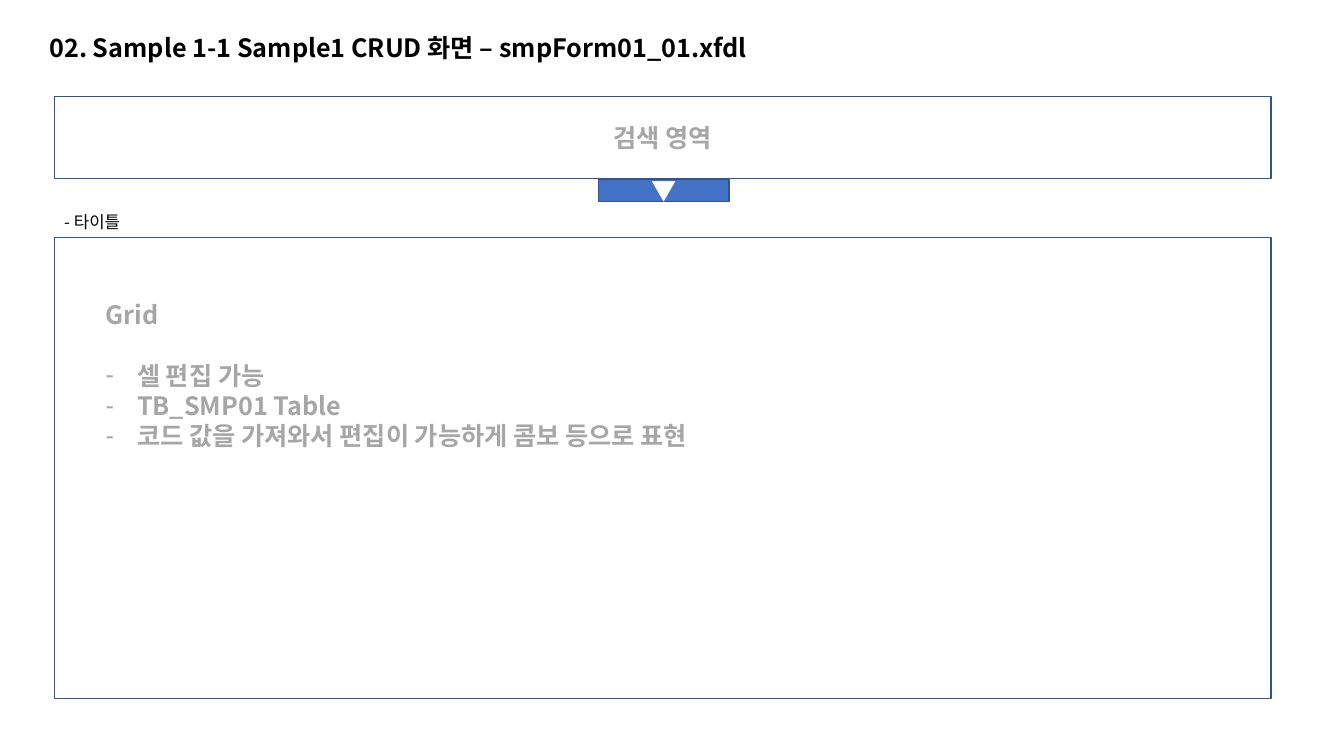
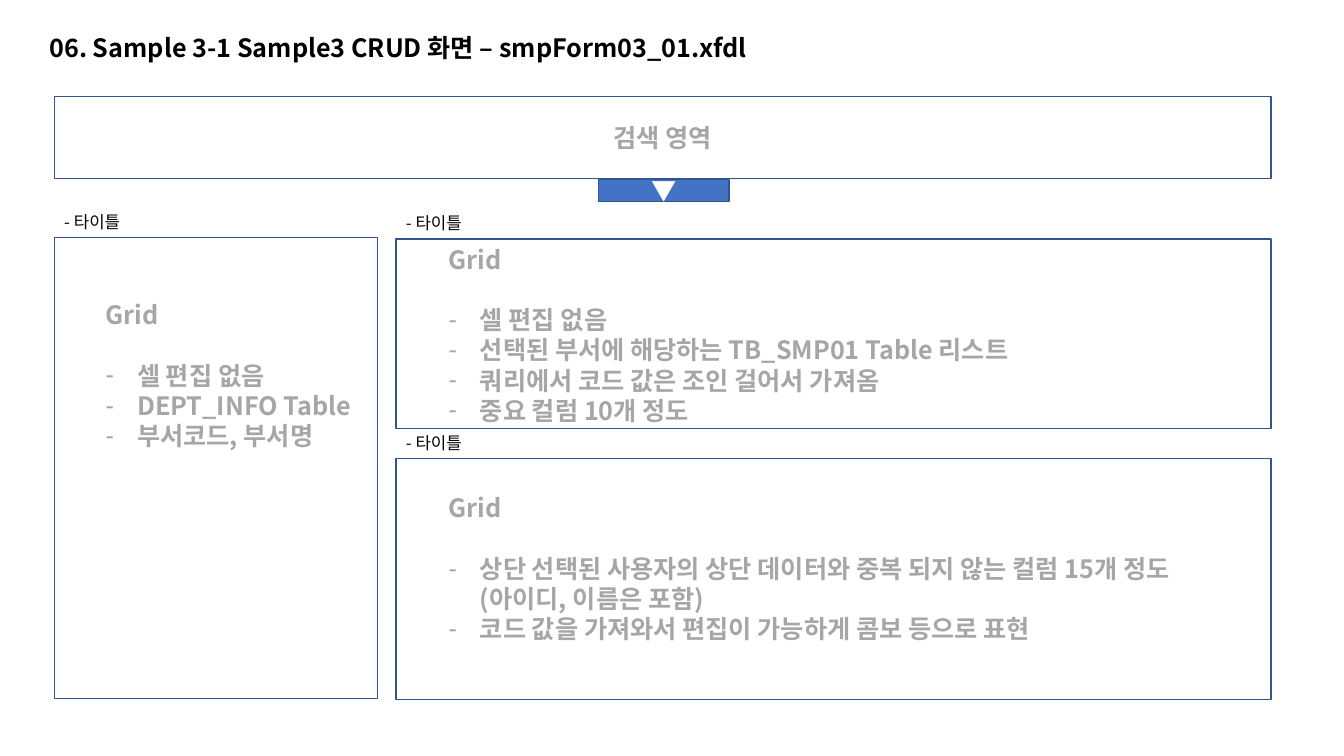
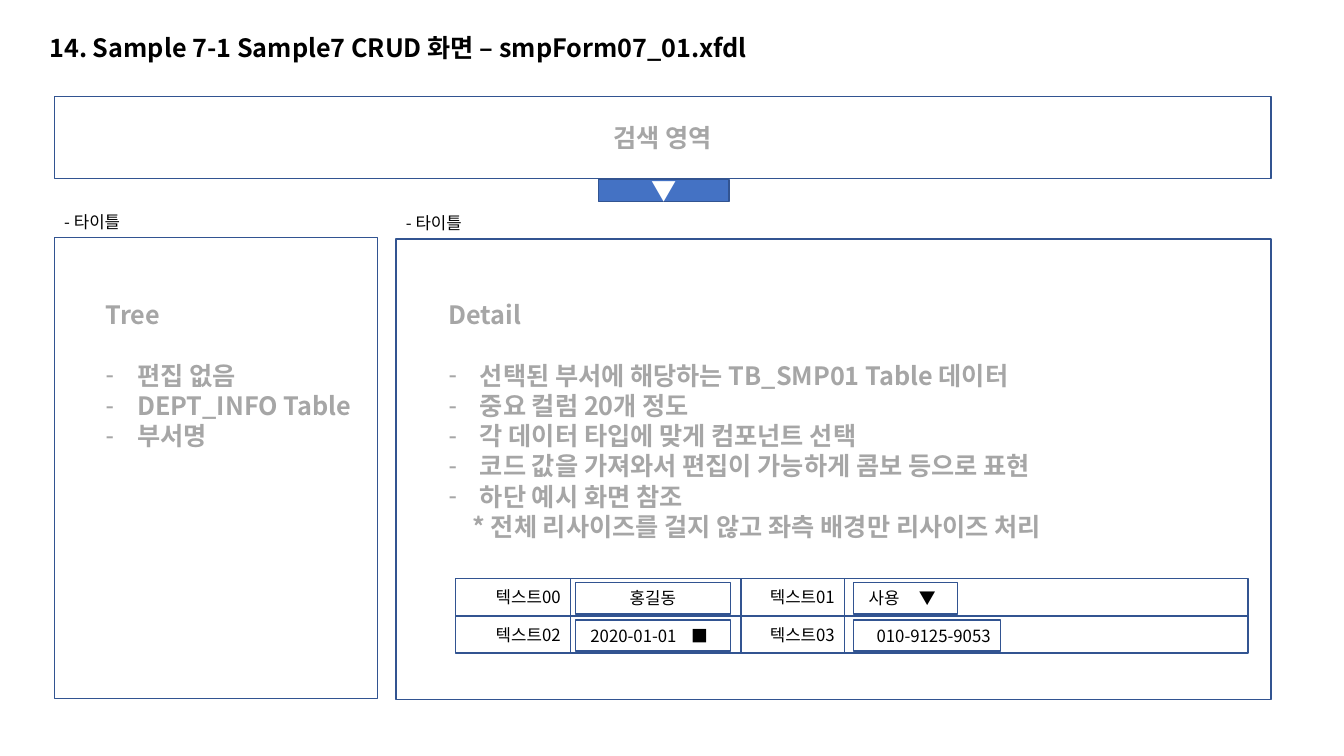
"""Build three wireframe slides for sample CRUD forms."""
from lxml.etree import SubElement as Sub
from pptx import Presentation
from pptx.dml.color import RGBColor
from pptx.enum.shapes import MSO_SHAPE as Shape
from pptx.enum.text import MSO_ANCHOR as Anchor, MSO_AUTO_SIZE as Auto, PP_ALIGN as Align
from pptx.oxml.ns import qn
from pptx.util import Cm, Pt

FONT = "Noto Sans CJK KR"
BLACK, WHITE, GRAY, BLUE, NAVY = "000000", "FFFFFF", "A6A6A6", "4472C4", "325491"
LEFT, RIGHT, TOP = 1.37, 9.98, 5.99
WIDE, SIDE, MAIN, TALL = 30.66, 8.15, 22.05, 11.61
LINE, PAD, HANG = 0.76, 0.25, 0.79

SLIDES = [
    {"title": "02. Sample 1-1 Sample1 CRUD 화면 – smpForm01_01.xfdl",
     "panes": [
         {"box": (LEFT, TOP, WIDE, TALL), "list": (2.41, 7.42, 17.02), "head": "Grid",
          "items": ["셀 편집 가능", "TB_SMP01 Table",
                    "코드 값을 가져와서 편집이 가능하게 콤보 등으로 표현"]}]},
    {"title": "06. Sample 3-1 Sample3 CRUD 화면 – smpForm03_01.xfdl",
     "panes": [
         {"box": (LEFT, TOP, SIDE, TALL), "list": (2.41, 7.42, 6.71), "head": "Grid",
          "items": ["셀 편집 없음", "DEPT_INFO Table", "부서코드, 부서명"]},
         {"box": (RIGHT, 6.02, MAIN, 4.78), "list": (11.05, 6.02, 19.86), "head": "Grid",
          "items": ["셀 편집 없음", "선택된 부서에 해당하는 TB_SMP01 Table 리스트",
                    "쿼리에서 코드 값은 조인 걸어서 가져옴", "중요 컬럼 10개 정도"]},
         {"box": (RIGHT, 11.56, MAIN, 6.07), "list": (11.05, 12.29, 19.86), "head": "Grid",
          "items": ["상단 선택된 사용자의 상단 데이터와 중복 되지 않는 컬럼 15개 정도 "
                    "(아이디, 이름은 포함)",
                    "코드 값을 가져와서 편집이 가능하게 콤보 등으로 표현"]}]},
    {"title": "14. Sample 7-1 Sample7 CRUD 화면 – smpForm07_01.xfdl",
     "panes": [
         {"box": (LEFT, TOP, SIDE, TALL), "list": (2.41, 7.42, 6.71), "head": "Tree",
          "items": ["편집 없음", "DEPT_INFO Table", "부서명"]},
         {"box": (RIGHT, 6.02, MAIN, TALL), "list": (11.05, 7.42, 19.86), "head": "Detail",
          "items": ["선택된 부서에 해당하는 TB_SMP01 Table 데이터", "중요 컬럼 20개 정도",
                    "각 데이터 타입에 맞게 컴포넌트 선택",
                    "코드 값을 가져와서 편집이 가능하게 콤보 등으로 표현", "하단 예시 화면 참조"],
          "note": "* 전체 리사이즈를 걸지 않고 좌측 배경만 리사이즈 처리"}],
     "form": [
         (("텍스트00", "텍스트01"),
          [("홍길동", 14.5, 3.91, Align.CENTER, None),
           ("사용\t▼", 21.51, 2.62, Align.LEFT, 1.35)]),
         (("텍스트02", "텍스트03"),
          [("2020-01-01\t■", 14.5, 3.91, Align.LEFT, 2.8),
           ("010-9125-9053", 21.51, 3.71, Align.RIGHT, None)])]},
]


def color(code):
    return RGBColor.from_string(code)


def place(part, x, y, w, h):
    part.left, part.top, part.width, part.height = Cm(x), Cm(y), Cm(w), Cm(h)


def write(par, text, size, code, bold=False, align=Align.LEFT, gap=0,
          indent=0, first=0, mark=None, tab=None):
    par.alignment = align
    par.line_spacing = Pt(size * 1.2)
    par.space_before, par.space_after = Pt(0), Pt(gap)
    props = par._p.get_or_add_pPr()
    props.set("marL", str(Cm(indent)))
    props.set("indent", str(Cm(first)))
    if mark:
        Sub(props, qn("a:buChar"), char=mark)
    else:
        Sub(props, qn("a:buNone"))
    if tab:
        Sub(Sub(props, qn("a:tabLst")), qn("a:tab"), pos=str(Cm(tab)), algn="l")
    run = par.add_run()
    run.text = text
    font = run.font
    font.size, font.bold, font.name = Pt(size), bold, FONT
    font.color.rgb = color(code)
    Sub(run._r.get_or_add_rPr(), qn("a:ea"), typeface=FONT)


def setup(frame, anchor=Anchor.TOP, wrap=True):
    frame.auto_size = Auto.NONE
    frame.word_wrap = wrap
    frame.vertical_anchor = anchor
    return frame.paragraphs[0]


def rect(slide, x, y, w, h, fill=None):
    box = slide.shapes.add_shape(Shape.RECTANGLE, Cm(x), Cm(y), Cm(w), Cm(h))
    box.shadow.inherit = False
    if fill:
        box.fill.solid()
        box.fill.fore_color.rgb = color(fill)
    else:
        box.fill.background()
    box.line.color.rgb = color(NAVY)
    box.line.width = Pt(1)
    return setup(box.text_frame, Anchor.MIDDLE)


def outline(body, pane):
    items, note = pane["items"], pane.get("note")
    rows = max(5, 2 + len(items) + bool(note))
    place(body, *pane["list"], PAD + LINE * rows)
    frame = body.text_frame
    write(setup(frame), pane["head"], 18, GRAY, True, gap=21.6)
    for item in items:
        write(frame.add_paragraph(), item, 18, GRAY, True,
              indent=HANG, first=-HANG, mark="-")
    if note:
        write(frame.add_paragraph(), note, 18, GRAY, True, indent=0.6)


def label(slide, x, y):
    box = slide.shapes.add_textbox(Cm(x), Cm(y), Cm(2.11), Cm(LINE))
    write(setup(box.text_frame, wrap=False), "- 타이틀", 12, BLACK)


def form(slide, rows):
    high = 0.94
    for num, (names, fields) in enumerate(rows):
        y = 14.58 + num * high
        rect(slide, 14.38, y, 17.07, high)
        for name, x, w in zip(names, (11.48, 18.67), (2.9, 2.62)):
            write(rect(slide, x, y, w, high), name, 12, BLACK, align=Align.RIGHT)
        for text, x, w, align, tab in fields:
            write(rect(slide, x, y + 0.1, w, 0.79), text, 12, BLACK, align=align,
                  indent=0.13 if tab else 0, tab=tab)


def build(deck, data):
    slide = deck.slides.add_slide(deck.slide_layouts[4])
    title, *bodies = slide.placeholders
    place(title, 0.99, 0.69, 29.34, 1.02)
    write(setup(title.text_frame, Anchor.MIDDLE), data["title"], 18, BLACK, True)
    write(rect(slide, LEFT, 2.44, WIDE, 2.06), "검색 영역", 18, GRAY, True, Align.CENTER)
    write(rect(slide, 15.09, 4.52, 3.28, 0.56, BLUE), "▼", 18, WHITE, align=Align.CENTER)
    panes = data["panes"]
    for body, pane in zip(bodies, panes):
        x, y, w, h = pane["box"]
        rect(slide, x, y, w, h)
        label(slide, x, y - 0.78)
        outline(body, pane)
    for body in bodies[len(panes):]:
        body.element.getparent().remove(body.element)
    form(slide, data.get("form", []))


deck = Presentation()
deck.slide_width, deck.slide_height = Cm(33.87), Cm(19.05)
for data in SLIDES:
    build(deck, data)
deck.save("out.pptx")
